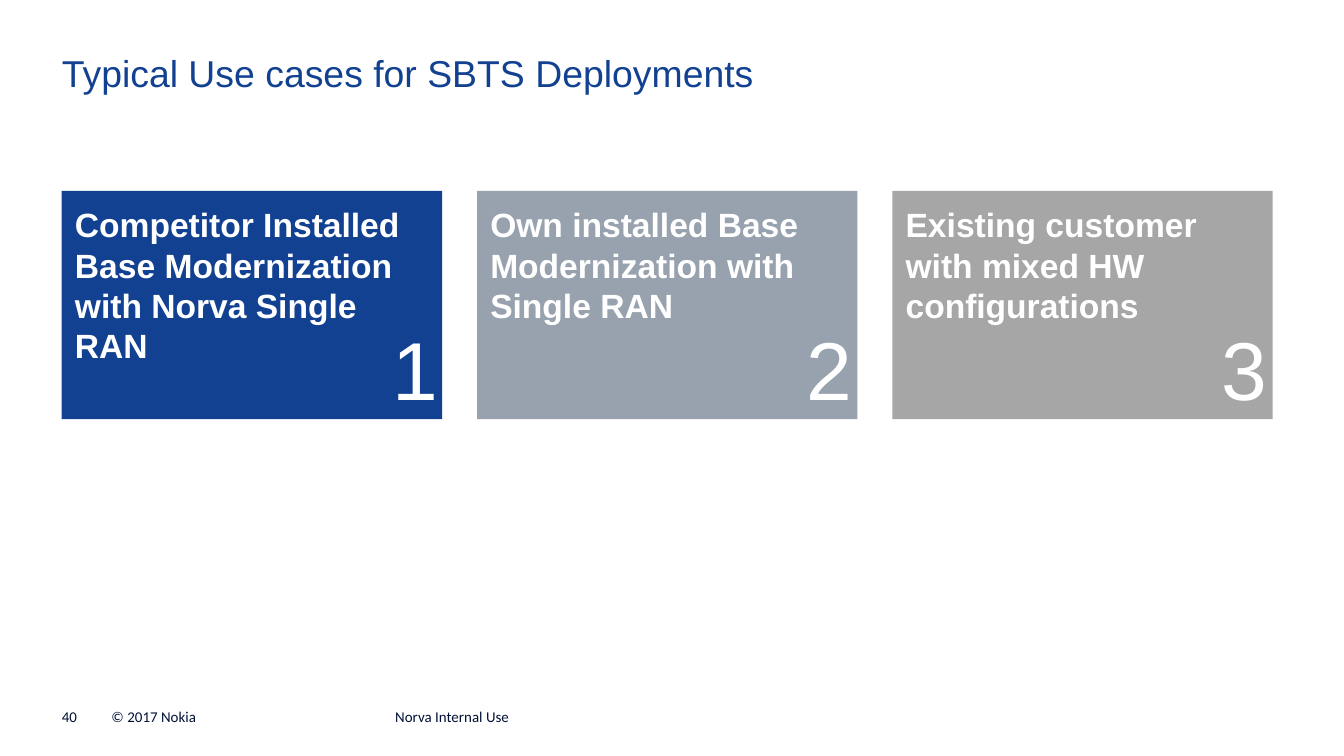
from pptx import Presentation
from pptx.dml.color import RGBColor
from pptx.enum.shapes import MSO_SHAPE
from pptx.enum.text import MSO_ANCHOR, PP_ALIGN
from pptx.util import Inches, Pt

NAVY = RGBColor(0x12, 0x41, 0x91)
SLATE = RGBColor(0x98, 0xA2, 0xAE)
GRAY = RGBColor(0xA6, 0xA6, 0xA6)
INK = RGBColor(0x00, 0x11, 0x35)
WHITE = RGBColor(0xFF, 0xFF, 0xFF)

# Content
TITLE = "Typical Use cases for SBTS Deployments"
USE_CASES = [  # text, fill, left and width of the number
    ("Competitor Installed Base Modernization with Norva Single RAN", NAVY, 2.82, 0.47),
    ("Own installed Base Modernization with Single RAN", SLATE, 5.9, 0.51),
    ("Existing customer with mixed HW configurations", GRAY, 8.99, 0.51),
]
FOOTERS = [  # text, left, width
    ("40", 0.46, 0.28),
    ("© 2017 Nokia", 0.83, 1.97),
    ("Norva Internal Use", 2.94, 2.82),
]

# Text formats
TITLE_FONT = {"name": "Arial", "size": Pt(20), "bold": False}
CARD_FONT = {"name": "Arial", "size": Pt(18), "bold": True}
NUMBER_FONT = {"name": "Arial", "size": Pt(44)}
FOOTER_FONT = {"name": "Calibri", "size": Pt(8)}

# Layout in inches
MARGIN = 0.46
CARD_TOP, CARD_WIDTH, CARD_HEIGHT, CARD_STEP = 1.42, 2.83, 1.7, 3.09
NUMBER_TOP, NUMBER_HEIGHT = 2.32, 0.84
FOOTER_TOP, FOOTER_HEIGHT = 5.27, 0.13


def write(shape, text, font, color, inset, anchor=MSO_ANCHOR.TOP, wrap=True):
    """Put one left-aligned paragraph into a shape; inset is (sides, ends)."""
    frame = shape.text_frame
    sides, ends = map(Inches, inset)
    settings = {"margin_left": sides, "margin_right": sides,
                "margin_top": ends, "margin_bottom": ends,
                "vertical_anchor": anchor, "word_wrap": wrap}
    for key, value in settings.items():
        setattr(frame, key, value)
    para = frame.paragraphs[0]
    para.alignment = PP_ALIGN.LEFT
    span = para.add_run()
    span.text = text
    for key, value in font.items():
        setattr(span.font, key, value)
    span.font.color.rgb = color


def place(left, top, width, height):
    return [Inches(value) for value in (left, top, width, height)]


def main():
    deck = Presentation()
    deck.slide_width = Inches(10)
    deck.slide_height = deck.slide_width * 9 // 16
    page = deck.slides.add_slide(deck.slide_layouts[5])

    # Title
    title = page.shapes.title
    title.left, title.top, title.width, title.height = place(MARGIN, 0.37, 9, 0.34)
    write(title, TITLE, TITLE_FONT, NAVY, (0, 0))

    # Numbered use case cards
    for index, (text, fill, number_left, number_width) in enumerate(USE_CASES):
        left = MARGIN + index * CARD_STEP
        card = page.shapes.add_shape(
            MSO_SHAPE.RECTANGLE, *place(left, CARD_TOP, CARD_WIDTH, CARD_HEIGHT))
        card.shadow.inherit = False
        card.fill.solid()
        card.fill.fore_color.rgb = fill
        card.line.fill.background()
        write(card, text, CARD_FONT, WHITE, (0.1, 0.1))

        number = page.shapes.add_textbox(
            *place(number_left, NUMBER_TOP, number_width, NUMBER_HEIGHT))
        write(number, str(index + 1), NUMBER_FONT, WHITE, (0.1, 0.05), wrap=False)

    # Footer
    for text, left, width in FOOTERS:
        footer = page.shapes.add_textbox(*place(left, FOOTER_TOP, width, FOOTER_HEIGHT))
        write(footer, text, FOOTER_FONT, INK, (0, 0), MSO_ANCHOR.BOTTOM)

    deck.save("out.pptx")


if __name__ == "__main__":
    main()
